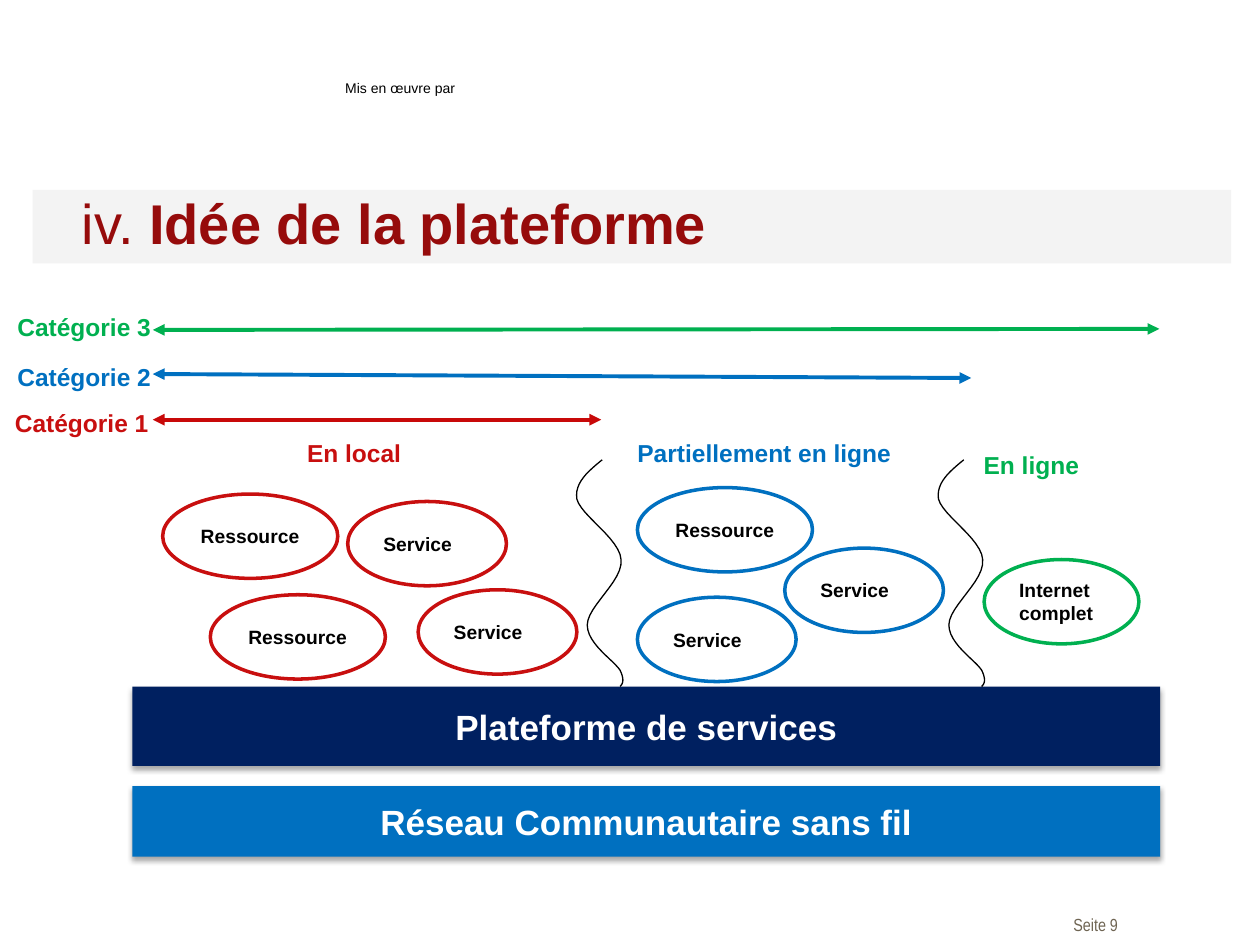
"""Build the slide on the idea of the service platform."""
import pptx
import pptx.util
import pptx.dml.color
import pptx.enum.shapes
import pptx.enum.text
import pptx.oxml
import pptx.oxml.ns
from pptx.util import Cm, Pt

COLORS = {
    "red": "C80F0F", "arrow_red": "C80909", "blue": "0070C0", "green": "00B050",
    "navy": "002060", "title": "960B0B", "band": "D9D9D9", "footer": "6E6452",
    "black": "000000", "white": "FFFFFF",
}
SHAPE = pptx.enum.shapes.MSO_SHAPE
ANCHOR = pptx.enum.text.MSO_ANCHOR
ALIGN = pptx.enum.text.PP_ALIGN
FRAME = {"word_wrap": True, "auto_size": pptx.enum.text.MSO_AUTO_SIZE.NONE,
         "margin_left": Cm(0.25), "margin_right": Cm(0),
         "margin_top": Cm(0.13), "margin_bottom": Cm(0.13)}
WAVE = [
    ((-0.28, 0.23), (-0.56, 0.46), (-0.51, 0.79)),
    ((-0.43, 1.12), (0.36, 1.6), (0.38, 2.01)),
    ((0.43, 2.44), (-0.3, 2.95), (-0.3, 3.33)),
    ((-0.3, 3.71), (0.23, 4.04), (0.36, 4.24)),
    ((0.46, 4.45), (0.41, 4.52), (0.36, 4.57)),
]


def rgb(name):
    """Return the named colour as an RGBColor."""
    return pptx.dml.color.RGBColor.from_string(COLORS[name])


def apply(obj, values):
    """Set each attribute of obj from a dict."""
    for name, value in values.items():
        setattr(obj, name, value)


def element(xml):
    """Parse one DrawingML element."""
    return pptx.oxml.parse_xml(xml.replace(" ", " " + pptx.oxml.ns.nsdecls("a") + " ", 1))


def add_run(p, text, size, color, bold=False, font="Arial"):
    """Add a formatted run to a paragraph."""
    r = p.add_run()
    r.text = text
    apply(r.font, {"size": Pt(size), "bold": bold, "name": font})
    r.font.color.rgb = rgb(color)


def write(sp, text, size, color, bold=True, font="Arial", align=ALIGN.LEFT,
          anchor=ANCHOR.TOP, **frame):
    """Fill a shape with one formatted paragraph."""
    tf = sp.text_frame
    apply(tf, {**FRAME, "vertical_anchor": anchor, **frame})
    p = tf.paragraphs[0]
    p.alignment = align
    add_run(p, text, size, color, bold, font)


def add_label(s, box, text, size, color, **fmt):
    """Add a text box."""
    sp = s.shapes.add_textbox(*map(Cm, box))
    write(sp, text, size, color, **fmt)


def add_title(s):
    """Place and format the title on its translucent band."""
    sp = s.shapes.title
    apply(sp, dict(zip(("left", "top", "width", "height"), map(Cm, (0.66, 3.83, 24.16, 1.48)))))
    sp.fill.solid()
    sp.fill.fore_color.rgb = rgb("band")
    clr = sp.fill._xPr.find(".//" + pptx.oxml.ns.qn("a:srgbClr"))
    clr.append(element('<a:alpha val="30000"/>'))
    write(sp, "iv.", 32, "title", bold=False)
    p = sp.text_frame.paragraphs[0]
    p.line_spacing = 0.9
    apply(p._p.get_or_add_pPr(), {"marL": Cm(0.74), "indent": 0})
    p._p.pPr.set("marL", str(Cm(0.74)))
    p._p.pPr.set("indent", "0")
    add_run(p, " Idée de la plateforme", 32, "title", True)


def add_bar(s, top, height, text, color):
    """Add a layer of the platform with a soft shadow below."""
    sp = s.shapes.add_shape(SHAPE.RECTANGLE, *map(Cm, (2.67, top, 20.72, height)))
    sp.fill.solid()
    sp.fill.fore_color.rgb = rgb(color)
    sp.line.fill.background()
    sp.shadow.inherit = False
    sp._element.spPr.find(pptx.oxml.ns.qn("a:effectLst")).append(element(
        f'<a:outerShdw blurRad="{Pt(3.1)}" dist="{Pt(1.8)}" dir="5400000" rotWithShape="0">'
        f'<a:srgbClr val="{COLORS["black"]}"><a:alpha val="35000"/></a:srgbClr></a:outerShdw>'))
    write(sp, text, 20, "white", align=ALIGN.CENTER, anchor=ANCHOR.MIDDLE,
          margin_right=Cm(0.25))


def add_bubble(s, left, top, width, text, color):
    """Add an outlined ellipse for a resource or service."""
    sp = s.shapes.add_shape(SHAPE.OVAL, *map(Cm, (left, top, width, 1.7)))
    sp.fill.solid()
    sp.fill.fore_color.rgb = rgb("white")
    sp.line.color.rgb = rgb(color)
    sp.line.width = Pt(2)
    sp.shadow.inherit = False
    write(sp, text, 11, "black", anchor=ANCHOR.MIDDLE)


def add_wave(s, left, top, steps=12):
    """Add a wavy divider sampled from cubic curves."""
    points, start = [], (0, 0)
    for c1, c2, end in WAVE:
        for i in range(1, steps + 1):
            t = i / steps
            u = 1 - t
            points.append([u**3 * a + 3 * u * u * t * b + 3 * u * t * t * c + t**3 * d
                           for a, b, c, d in zip(start, c1, c2, end)])
        start = end
    fb = s.shapes.build_freeform(Cm(left), Cm(top))
    fb.add_line_segments([(Cm(left + x), Cm(top + y)) for x, y in points], close=False)
    sp = fb.convert_to_shape()
    sp.fill.background()
    sp.line.color.rgb = rgb("black")
    sp.line.width = Pt(0.75)
    sp.shadow.inherit = False


def add_arrow(s, y1, x2, y2, color):
    """Add a double-headed range arrow."""
    c = s.shapes.add_connector(pptx.enum.shapes.MSO_CONNECTOR.STRAIGHT,
                               *map(Cm, (3.08, y1, x2, y2)))
    c.line.color.rgb = rgb(color)
    c.line.width = Pt(2.25)
    ln = c.line._get_or_add_ln()
    for end in ("head", "tail"):
        ln.append(element(f'<a:{end}End type="triangle"/>'))
    c._element.spPr.append(element("<a:effectLst />"))


def main():
    """Build and save the slide."""
    prs = pptx.Presentation()
    apply(prs, {"slide_width": Cm(25.4), "slide_height": Cm(19.05)})
    s = prs.slides.add_slide(prs.slide_layouts.get_by_name("Title Only"))
    add_title(s)
    add_label(s, (21.39, 18.29, 2.57, 0.66), "Seite 9", 10, "footer",
              bold=False, font="Arial Narrow")
    add_label(s, (6.71, 1.47, 2.97, 0.58), "Mis en œuvre par", 8, "black", bold=False)
    add_bar(s, 15.85, 1.42, "Réseau Communautaire sans fil", "blue")
    add_bar(s, 13.84, 1.6, "Plateforme de services", "navy")
    for left, top, width, text, color in [
        (3.28, 9.96, 3.53, "Ressource", "red"),
        (7.01, 10.11, 3.2, "Service", "red"),
        (4.24, 11.99, 3.53, "Ressource", "red"),
        (8.43, 11.89, 3.2, "Service", "red"),
        (12.85, 9.83, 3.53, "Ressource", "blue"),
        (15.82, 11.05, 3.2, "Service", "blue"),
        (12.85, 12.04, 3.2, "Service", "blue"),
        (19.84, 11.28, 3.12, "Internet complet", "green"),
    ]:
        add_bubble(s, left, top, width, text, color)
    for left in (12.14, 19.43):
        add_wave(s, left, 9.27)
    for left, top, width, text, color in [
        (5.94, 8.71, 2.41, "En local", "red"),
        (12.6, 8.71, 6.58, "Partiellement en ligne", "blue"),
        (19.58, 8.94, 2.97, "En ligne", "green"),
        (0.05, 8.1, 3.2, "Catégorie 1", "red"),
        (0.1, 7.16, 3.2, "Catégorie 2", "blue"),
        (0.1, 6.17, 3.2, "Catégorie 3", "green"),
    ]:
        add_label(s, (left, top, width, 0.84), text, 14, color)
    add_arrow(s, 8.46, 12.12, 8.46, "arrow_red")
    add_arrow(s, 7.54, 19.58, 7.62, "blue")
    add_arrow(s, 6.65, 23.37, 6.63, "green")
    prs.save("out.pptx")


if __name__ == "__main__":
    main()
